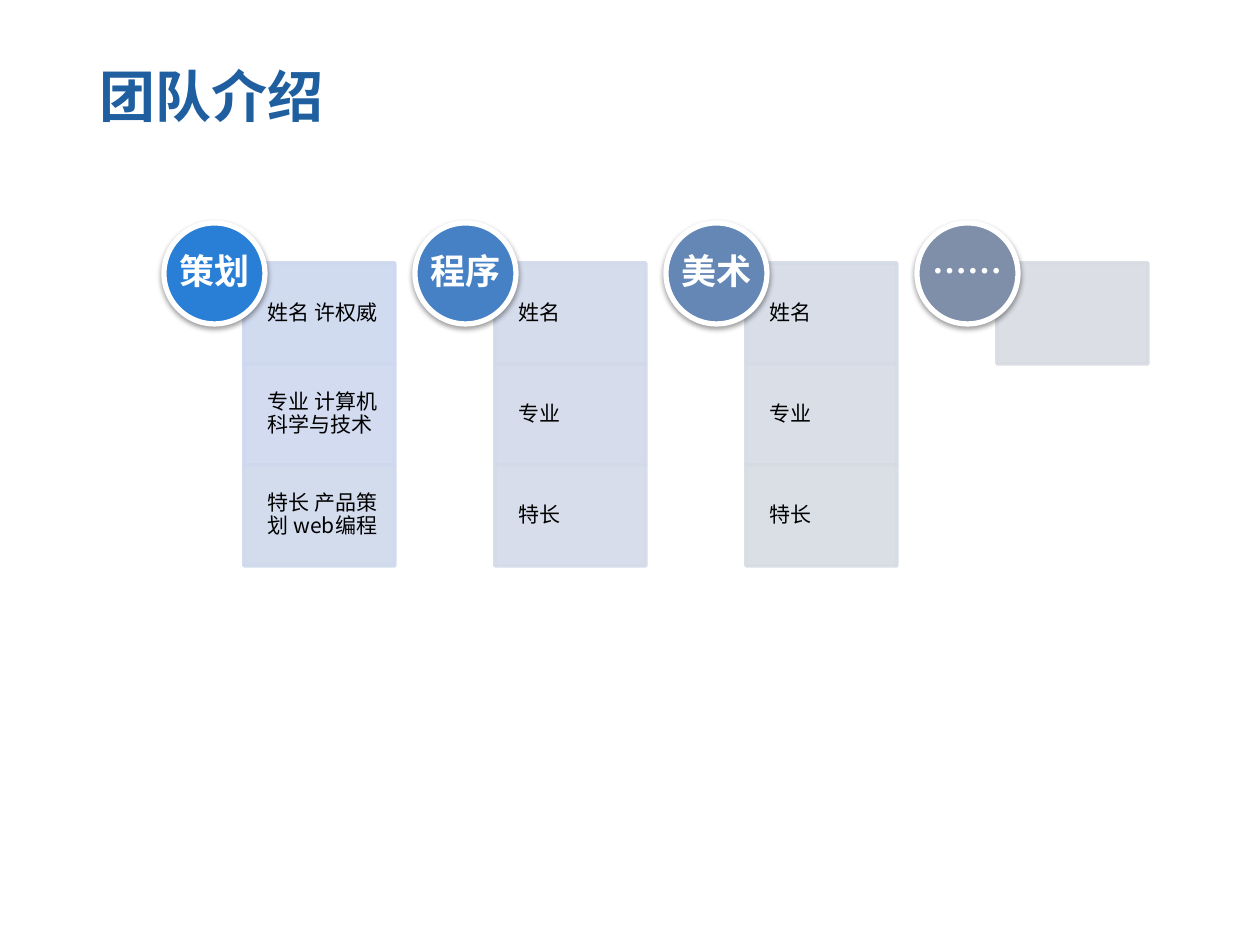
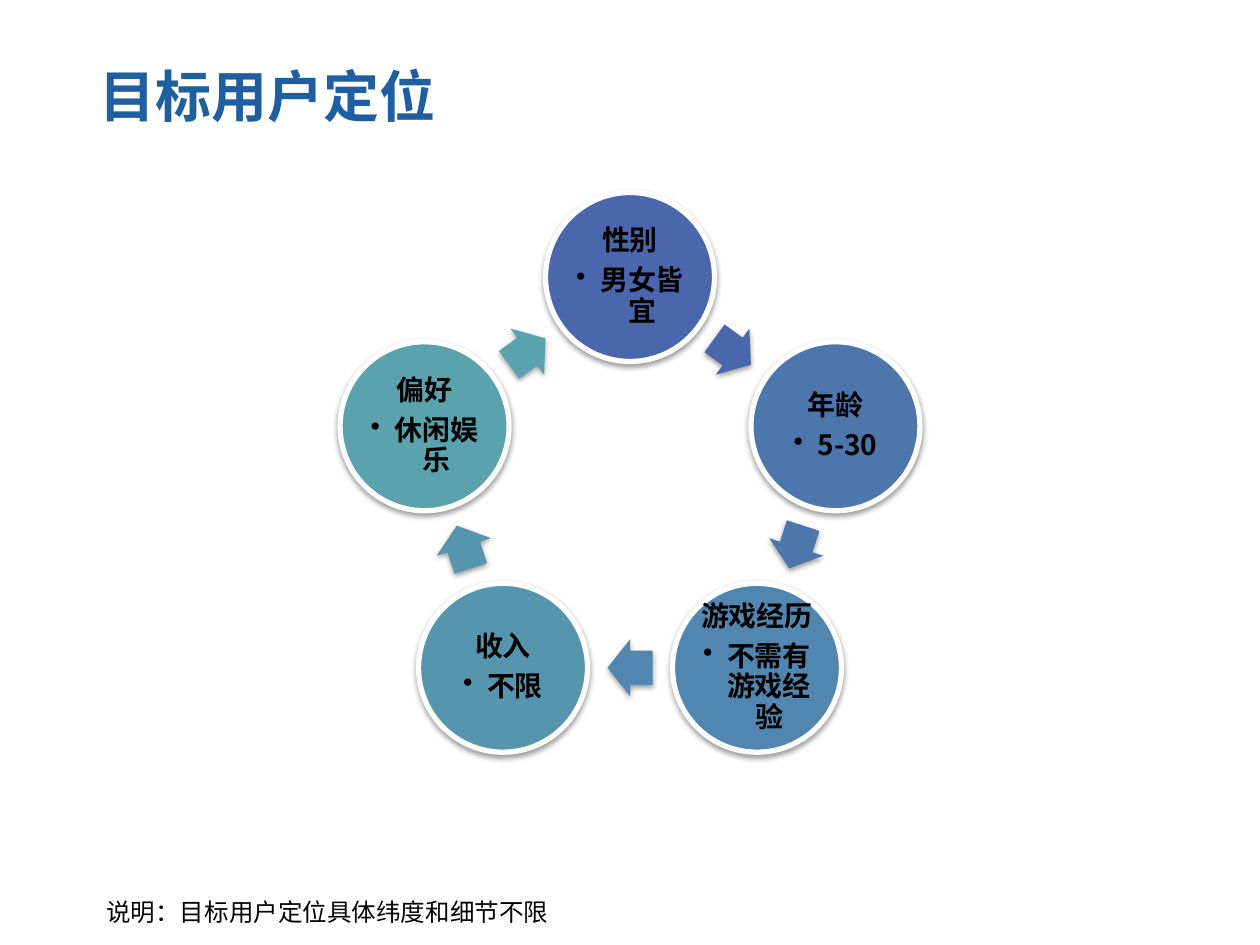
import math

import lxml.etree
import pptx
import pptx.dml.color
import pptx.enum.shapes
import pptx.enum.text
import pptx.oxml.ns
import pptx.util

RGB = pptx.dml.color.RGBColor
SHAPE = pptx.enum.shapes.MSO_SHAPE
ALIGN = pptx.enum.text.PP_ALIGN
ANCHOR = pptx.enum.text.MSO_ANCHOR
qn = pptx.oxml.ns.qn

PX_PER_INCH = 126
FONT = "Noto Sans CJK SC"
TITLE_BLUE = RGB(0x1F, 0x5F, 0xA0)
BLACK = RGB(0, 0, 0)
WHITE = RGB(0xFF, 0xFF, 0xFF)
ROLE_BLUE = RGB(0x29, 0x7F, 0xD5)
ROLE_STEEL = RGB(0x47, 0x81, 0xC5)
ROLE_SLATE = RGB(0x64, 0x87, 0xB6)
ROLE_GREY = RGB(0x7F, 0x8F, 0xA9)
CELL_TINTS = [RGB.from_string(tint) for tint in (
    "CDD8EF", "CED8EE", "CFD9EC", "D1D9EB", "D2D9E9",
    "D3DAE8", "D4DAE6", "D6DBE5", "D7DBE3", "D8DBE2")]
USER_INDIGO = RGB(0x4A, 0x66, 0xAC)
USER_BLUE = RGB(0x4D, 0x76, 0xAD)
USER_SKY = RGB(0x50, 0x86, 0xAF)
USER_TEAL = RGB(0x55, 0x95, 0xAE)
USER_AQUA = RGB(0x5A, 0xA2, 0xAE)

ROLES = [
    ("策划", ROLE_BLUE, ["姓名 许权威", "专业 计算机科学与技术", "特长 产品策划 web编程"]),
    ("程序", ROLE_STEEL, ["姓名", "专业", "特长"]),
    ("美术", ROLE_SLATE, ["姓名", "专业", "特长"]),
    ("……", ROLE_GREY, [""]),
]
USER_TRAITS = [
    ("性别", "男女皆宜", USER_INDIGO),
    ("年龄", "5-30", USER_BLUE),
    ("游戏经历", "不需有游戏经验", USER_SKY),
    ("收入", "不限", USER_TEAL),
    ("偏好", "休闲娱乐", USER_AQUA),
]


def px(length):
    return pptx.util.Emu(round(length * 914400 / PX_PER_INCH))


def style_paragraph(paragraph, size, color, bold=False, align=ALIGN.LEFT):
    paragraph.alignment = align
    font = paragraph.font
    font.size, font.bold, font.name = pptx.util.Pt(size), bold, FONT
    font.color.rgb = color
    defaults = paragraph._p.pPr.find(qn("a:defRPr"))
    lxml.etree.SubElement(defaults, qn("a:ea"), typeface=FONT)


def space_paragraph(paragraph, after):
    paragraph.line_spacing = 0.9
    paragraph.space_after = pptx.util.Pt(after)


def add_bullet(paragraph, indent):
    paragraph.level = 1
    properties = paragraph._p.pPr
    properties.set("marL", str(px(indent)))
    properties.set("indent", str(-px(indent)))
    bullet = lxml.etree.Element(qn("a:buChar"), char="•")
    properties.find(qn("a:defRPr")).addprevious(bullet)


def set_insets(frame, left, top, right, bottom):
    frame.margin_left, frame.margin_top = px(left), px(top)
    frame.margin_right, frame.margin_bottom = px(right), px(bottom)
    frame.vertical_anchor = ANCHOR.MIDDLE
    frame.word_wrap = True


def add_filled(slide, kind, box, fill, outline=None, outline_width=0):
    shape = slide.shapes.add_shape(kind, *map(px, box))
    shape.shadow.inherit = False
    shape.fill.solid()
    shape.fill.fore_color.rgb = fill
    if outline is None:
        shape.line.fill.background()
    else:
        shape.line.color.rgb = outline
        shape.line.width = pptx.util.Pt(outline_width)
    return shape


def add_soft_shadow(shape):
    effects = shape._element.spPr.find(qn("a:effectLst"))
    shadow = lxml.etree.SubElement(
        effects, qn("a:outerShdw"), blurRad="40000", dist="20000",
        dir="5400000", rotWithShape="0")
    color = lxml.etree.SubElement(shadow, qn("a:srgbClr"), val=str(BLACK))
    lxml.etree.SubElement(color, qn("a:alpha"), val="38000")


def add_disc(slide, box, fill):
    disc = add_filled(slide, SHAPE.OVAL, box, fill, WHITE, 3)
    add_soft_shadow(disc)
    return disc


def add_titled_slide(deck, heading):
    slide = deck.slides.add_slide(deck.slide_layouts[5])
    title = slide.shapes.title
    title.left, title.top = px(87), px(55)
    title.width, title.height = px(57 * len(heading) + 27), px(81)
    frame = title.text_frame
    frame.text = heading
    frame.word_wrap = True
    frame.auto_size = pptx.enum.text.MSO_AUTO_SIZE.NONE
    frame.vertical_anchor = ANCHOR.TOP
    style_paragraph(frame.paragraphs[0], 32, TITLE_BLUE, bold=True)
    return slide


def add_detail_cell(slide, box, detail, tint):
    cell = add_filled(slide, SHAPE.RECTANGLE, box, tint, tint, 2)
    for color in cell._element.spPr.iter(qn("a:srgbClr")):
        lxml.etree.SubElement(color, qn("a:alpha"), val="90000")
    if detail:
        set_insets(cell.text_frame, 24, 11, 11, 11)
        cell.text_frame.text = detail
        paragraph = cell.text_frame.paragraphs[0]
        style_paragraph(paragraph, 12, BLACK)
        space_paragraph(paragraph, 4.2)


def add_role_column(slide, left, top, role, color, details, tints):
    side = 101
    for row, detail in enumerate(details):
        box = (left + 80, top + 40 + row * side, 151, side)
        add_detail_cell(slide, box, detail, next(tints))
    badge = add_disc(slide, (left, top, side, side), color)
    set_insets(badge.text_frame, 0, 0, 0, 0)
    badge.text_frame.text = role
    paragraph = badge.text_frame.paragraphs[0]
    style_paragraph(paragraph, 20, WHITE, bold=True, align=ALIGN.CENTER)
    space_paragraph(paragraph, 7)


def add_team_slide(deck):
    slide = add_titled_slide(deck, "团队介绍")
    tints = iter(CELL_TINTS)
    for column, (role, color, details) in enumerate(ROLES):
        add_role_column(slide, 164 + 251 * column, 223, role, color, details, tints)


def add_trait_disc(slide, box, trait, value, color):
    frame = add_disc(slide, box, color).text_frame
    set_insets(frame, 2, 2, 2, 2)
    frame.text = f"{trait}\n{value}"
    for paragraph, after in zip(frame.paragraphs, (5.6, 2.4)):
        style_paragraph(paragraph, 16, BLACK, bold=True, align=ALIGN.CENTER)
        space_paragraph(paragraph, after)
    add_bullet(frame.paragraphs[1], 24)


def add_trait_cycle(slide, center_x, center_y, radius):
    diameter, arrow_width, arrow_height = 169, 45, 57
    step = 360 / len(USER_TRAITS)
    arrow_radius = radius * math.cos(math.radians(step / 2))

    def box_at(angle, distance, width, height):
        x = center_x + distance * math.sin(math.radians(angle))
        y = center_y - distance * math.cos(math.radians(angle))
        return x - width / 2, y - height / 2, width, height

    for index, (trait, value, color) in enumerate(USER_TRAITS):
        angle = index * step
        add_trait_disc(slide, box_at(angle, radius, diameter, diameter),
                       trait, value, color)
        arrow_box = box_at(angle + step / 2, arrow_radius, arrow_width, arrow_height)
        arrow = add_filled(slide, SHAPE.RIGHT_ARROW, arrow_box, color)
        arrow.adjustments[0], arrow.adjustments[1] = 0.6, 0.5
        arrow.rotation = angle + step / 2
        add_soft_shadow(arrow)


def add_remark(slide, box, remark):
    frame = slide.shapes.add_textbox(*map(px, box)).text_frame
    frame.text = remark
    frame.word_wrap = False
    style_paragraph(frame.paragraphs[0], 14, BLACK)


def add_user_slide(deck):
    slide = add_titled_slide(deck, "目标用户定位")
    add_remark(slide, (94, 891, 471, 43), "说明：目标用户定位具体纬度和细节不限")
    add_trait_cycle(slide, 630, 493, 216)


def main():
    deck = pptx.Presentation()
    deck.slide_width, deck.slide_height = px(1260), px(945)
    add_team_slide(deck)
    add_user_slide(deck)
    deck.save("out.pptx")


if __name__ == "__main__":
    main()
